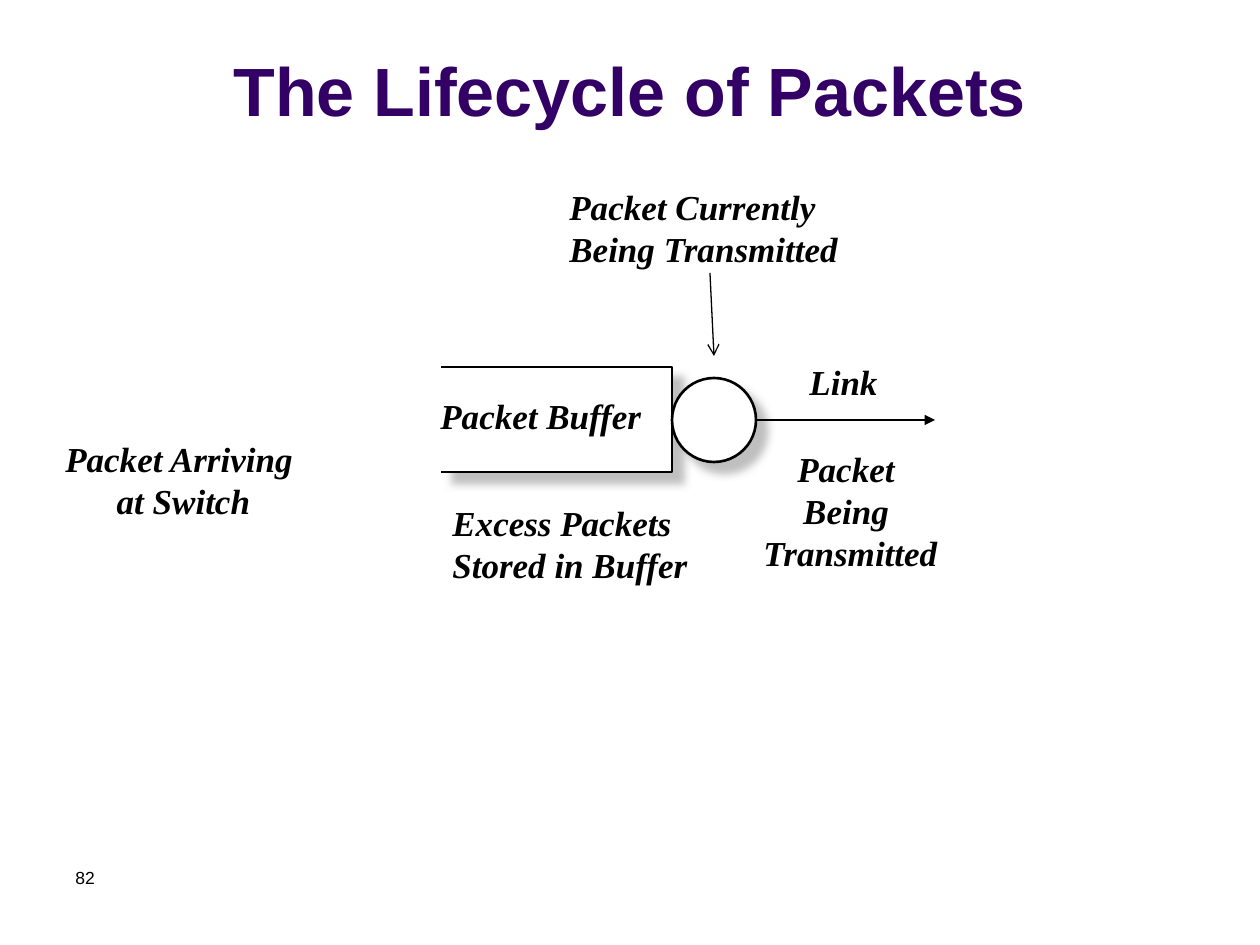
from dataclasses import dataclass

from lxml.etree import SubElement
from pptx import Presentation
from pptx.dml.color import RGBColor
from pptx.enum.shapes import MSO_CONNECTOR, MSO_SHAPE
from pptx.enum.text import MSO_ANCHOR, MSO_AUTO_SIZE, PP_ALIGN
from pptx.oxml.ns import qn
from pptx.util import Pt

PX = 914400 / 126


def emu(*sizes):
    return [round(size * PX) for size in sizes]


@dataclass(frozen=True)
class Theme:
    ink: RGBColor = RGBColor(0, 0, 0)
    paper: RGBColor = RGBColor(255, 255, 255)
    title: RGBColor = RGBColor(0x33, 0, 0x66)
    shade: str = "808080"
    sans: str = "Arial"
    serif: str = "Times New Roman"
    head: int = 39
    body: int = 20
    small: int = 10
    thick: float = 1.5
    thin: float = 0.75


class Board:
    def __init__(self, slide, theme):
        self.slide = slide
        self.shapes = slide.shapes
        self.theme = theme
        fill = slide.background.fill
        fill.solid()
        fill.fore_color.rgb = theme.paper

    def text(self, box, words, face, size, color, bold=False, slant=False,
             align=PP_ALIGN.LEFT):
        shape = self.shapes.add_textbox(*emu(*box))
        frame = shape.text_frame
        frame.text = words
        frame.word_wrap = True
        for para in frame.paragraphs:
            para.alignment = align
            for run in para.runs:
                font = run.font
                font.name, font.size = face, Pt(size)
                font.bold, font.italic = bold, slant
                font.color.rgb = color
        return frame

    def title(self, box, words):
        look = self.theme
        frame = self.text(box, words, look.sans, look.head, look.title,
                          bold=True, align=PP_ALIGN.CENTER)
        frame.vertical_anchor = MSO_ANCHOR.BOTTOM

    def number(self, box, words):
        look = self.theme
        self.text(box, words, look.sans, look.small, look.ink)

    def label(self, box, words, align=PP_ALIGN.LEFT):
        look = self.theme
        frame = self.text(box, words, look.serif, look.body, look.ink,
                          bold=True, slant=True, align=align)
        frame.word_wrap = False
        frame.auto_size = MSO_AUTO_SIZE.SHAPE_TO_FIT_TEXT

    def paint(self, shape):
        """Give a shape the paper fill, dark outline and soft shadow."""
        look = self.theme
        shape.fill.solid()
        shape.fill.fore_color.rgb = look.paper
        shape.line.color.rgb = look.ink
        shape.line.width = Pt(look.thick)
        shape.shadow.inherit = False
        effects = shape._element.spPr.find(qn("a:effectLst"))
        shadow = SubElement(effects, qn("a:outerShdw"), blurRad=str(Pt(5)),
                            dist=str(Pt(8.5)), dir="2700000",
                            algn="ctr", rotWithShape="0")
        color = SubElement(shadow, qn("a:srgbClr"), val=look.shade)
        SubElement(color, qn("a:alpha"), val="50000")

    def queue(self, left, top, right, base):
        """Draw a buffer that is open on its left side."""
        pen = self.shapes.build_freeform(left, top, scale=PX)
        pen.add_line_segments([(right, top), (right, base), (left, base)],
                              close=False)
        self.paint(pen.convert_to_shape())

    def circle(self, left, top, size):
        self.paint(self.shapes.add_shape(
            MSO_SHAPE.OVAL, *emu(left, top, size, size)))

    def arrow(self, start, end, tip):
        line = self.shapes.add_connector(
            MSO_CONNECTOR.STRAIGHT, *emu(*start, *end))
        line.line.color.rgb = self.theme.ink
        line.line.width = Pt(self.theme.thin)
        props = line._element.spPr
        SubElement(props.find(qn("a:ln")), qn("a:tailEnd"), type=tip)
        SubElement(props, qn("a:effectLst"))


def main():
    deck = Presentation()
    deck.slide_width, deck.slide_height = emu(1260, 945)
    board = Board(deck.slides.add_slide(deck.slide_layouts[6]), Theme())

    board.queue(441, 367, 672, 472)
    board.circle(672, 378, 84)
    board.title((0, 16, 1260, 120), "The Lifecycle of Packets")
    board.number((63, 861, 294, 63), "82")
    board.arrow((756, 420), (935, 420), "triangle")

    board.label((440, 495, 275, 97), "Excess Packets\nStored in Buffer")
    board.label((50, 431, 267, 97), "Packet Arriving \nat Switch",
                PP_ALIGN.CENTER)
    board.label((735, 441, 222, 140), "Packet\nBeing\n Transmitted",
                PP_ALIGN.CENTER)
    board.label((428, 388, 239, 55), "Packet Buffer")
    board.label((797, 354, 106, 55), "Link")
    board.label((557, 179, 307, 97), "Packet Currently\nBeing Transmitted")
    board.arrow((710, 273), (714, 356), "arrow")

    deck.save("out.pptx")


if __name__ == "__main__":
    main()
